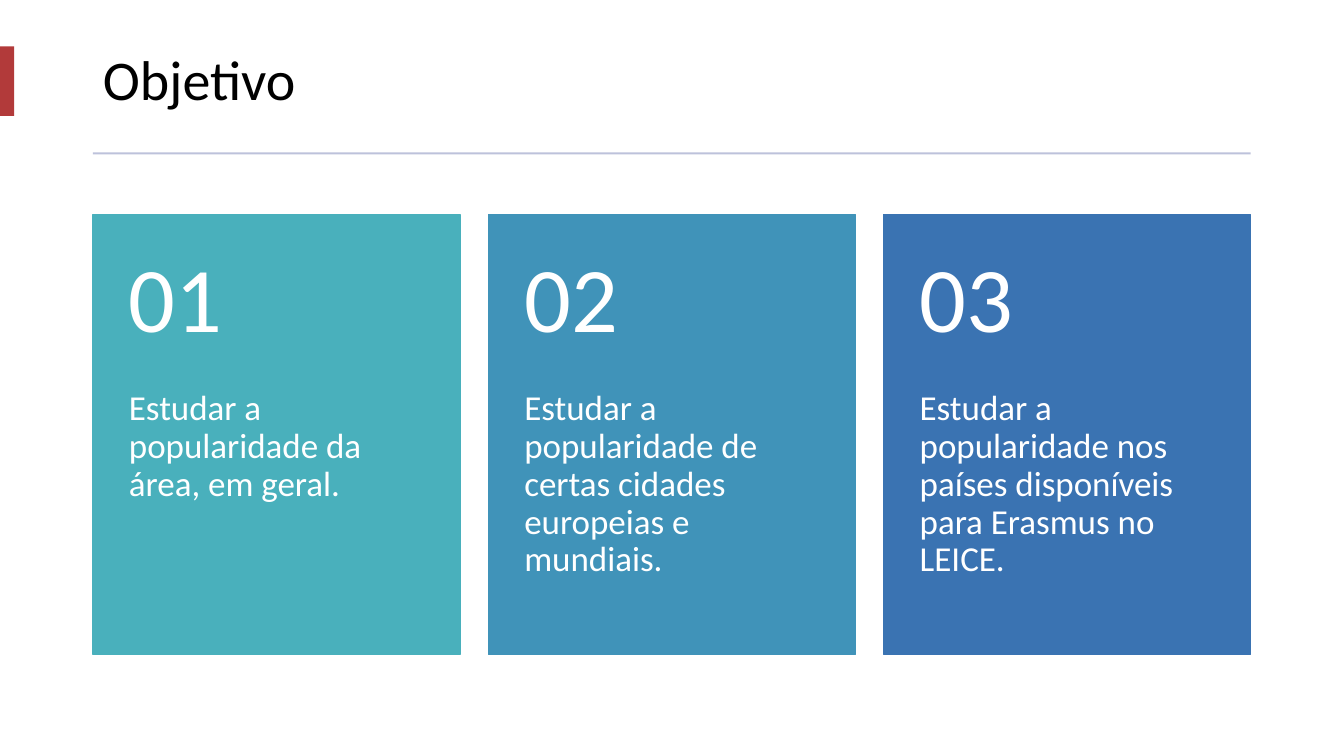
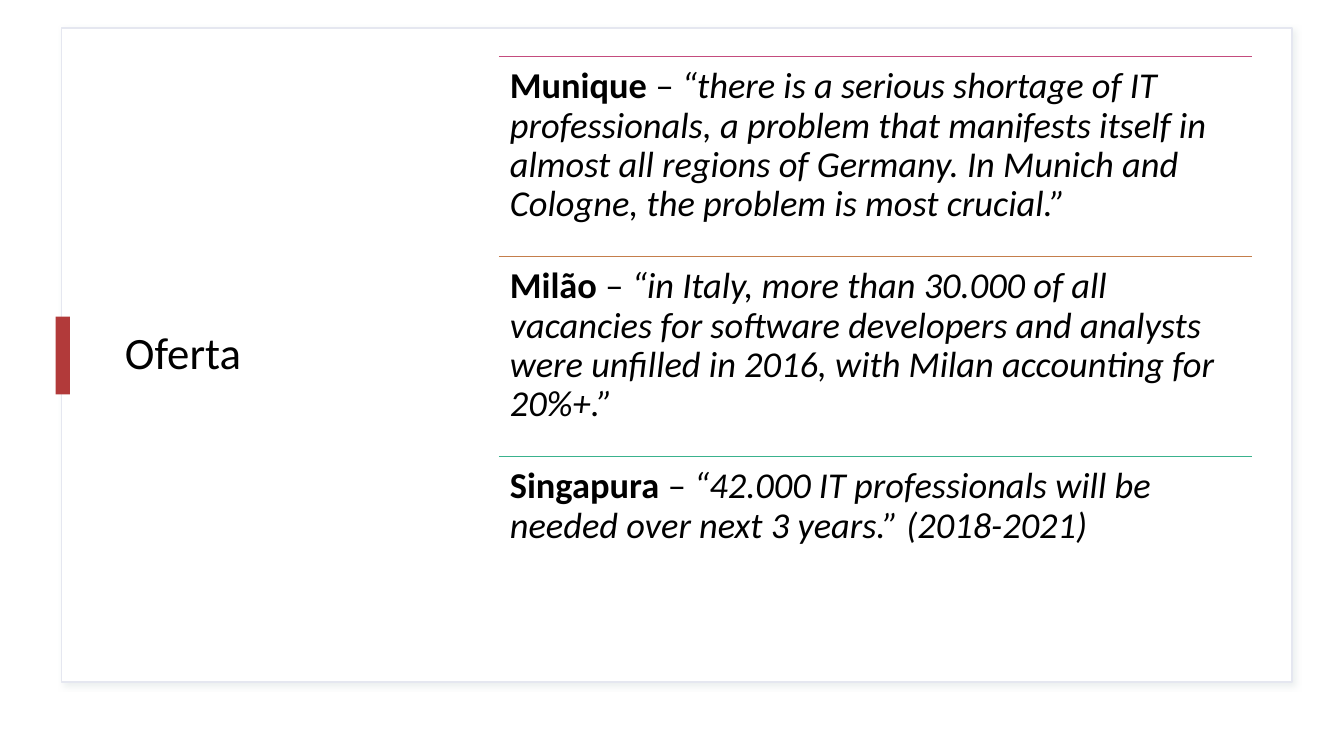
from lxml import etree
from pptx import Presentation
from pptx.dml.color import RGBColor
from pptx.enum.shapes import MSO_CONNECTOR as CONN, MSO_SHAPE as SHAPE
from pptx.enum.text import MSO_ANCHOR as ANCHOR, MSO_AUTO_SIZE as AUTO, PP_ALIGN as ALIGN
from pptx.oxml import parse_xml
from pptx.oxml.ns import nsdecls, qn
from pptx.util import Cm, Pt

FONT = "Calibri"
BLACK, WHITE = "000000", "FFFFFF"
ACCENT, RULE, FRAME, SHADOW = "B23A3A", "BDC2DB", "E5E7F0", "BCCACA"

CARDS = [
    ("01", "Estudar a popularidade da área, em geral.", "49B0BC"),
    ("02", "Estudar a popularidade de certas cidades europeias e mundiais.", "4093B9"),
    ("03", "Estudar a popularidade nos países disponíveis para Erasmus no LEICE.", "3A73B2"),
]
QUOTES = [
    ("Munique", "“there is a serious shortage of IT professionals, a problem that "
     "manifests itself in almost all regions of Germany. In Munich and Cologne, "
     "the problem is most crucial.”", "C44C7E"),
    ("Milão", "“in Italy, more than 30.000 of all vacancies for software developers "
     "and analysts were unfilled in 2016, with Milan accounting for 20%+.”", "C47E4C"),
    ("Singapura", "“42.000 IT professionals will be needed over next 3 years.” "
     "(2018-2021)", "3AB28D"),
]


def rgb(value):
    """Turn a hex string into a colour."""
    return RGBColor.from_string(value)


def box(*lengths):
    """Turn centimetres into lengths."""
    return [Cm(v) for v in lengths]


def write(tf, runs, size, color=BLACK, anchor=ANCHOR.TOP, insets=(0.25, 0.13, 0.25, 0.13)):
    """Fill a text frame with one paragraph of (text, bold, italic) runs."""
    tf.word_wrap = True
    tf.auto_size = AUTO.NONE
    tf.vertical_anchor = anchor
    tf.margin_left, tf.margin_top, tf.margin_right, tf.margin_bottom = box(*insets)
    p = tf.paragraphs[0]
    p.alignment = ALIGN.LEFT
    p.line_spacing = 0.9
    for text, bold, italic in runs:
        r = p.add_run()
        r.text = text
        r.font.name, r.font.size = FONT, Pt(size)
        r.font.bold, r.font.italic = bold, italic
        r.font.color.rgb = rgb(color)


class Deck:
    """Hold the presentation, its style and the current slide."""

    def __init__(self):
        """Start a widescreen presentation."""
        self.prs = Presentation()
        self.prs.slide_width, self.prs.slide_height = box(33.87, 19.05)
        self.s = None

    def slide(self):
        """Add a title-only slide."""
        self.s = self.prs.slides.add_slide(self.prs.slide_layouts[5])

    def title(self, text, x, y, w, h, size):
        """Place the title above what is already drawn."""
        sp = self.s.shapes.title
        sp.left, sp.top, sp.width, sp.height = box(x, y, w, h)
        write(sp.text_frame, [(text, False, False)], size, anchor=ANCHOR.MIDDLE)
        self.s.shapes._spTree.append(sp._element)

    def rect(self, x, y, w, h, fill, line=None):
        """Draw a flat rectangle."""
        sp = self.s.shapes.add_shape(SHAPE.RECTANGLE, *box(x, y, w, h))
        sp.shadow.inherit = False
        sp.fill.solid()
        sp.fill.fore_color.rgb = rgb(fill)
        if line:
            sp.line.color.rgb = rgb(line)
            sp.line.width = Pt(1)
        else:
            sp.line.fill.background()
        return sp

    def frame(self, x, y, w, h):
        """Draw a white panel with a soft shadow."""
        sp = self.rect(x, y, w, h, WHITE, FRAME)
        effects = sp._element.spPr.find(qn("a:effectLst"))
        effects.append(parse_xml(
            f'<a:outerShdw {nsdecls("a")} blurRad="{Pt(4)}" dist="{Pt(3)}" dir="2700000" '
            f'algn="tl" rotWithShape="0"><a:srgbClr val="{SHADOW}">'
            '<a:alpha val="30000"/></a:srgbClr></a:outerShdw>'))

    def line(self, x, y, w, color):
        """Draw a horizontal line."""
        c = self.s.shapes.add_connector(CONN.STRAIGHT, *box(x, y, x + w, y))
        c.line.color.rgb = rgb(color)
        c.line.width = Pt(1)
        etree.SubElement(c._element.spPr, qn("a:effectLst"))

    def text(self, x, y, w, h, runs, size, **style):
        """Add a text box."""
        sp = self.s.shapes.add_textbox(*box(x, y, w, h))
        write(sp.text_frame, runs, size, **style)

    def card(self, x, y, w, number, text, color):
        """Draw a coloured card with a number above its text."""
        head, body = 4.43, 6.65
        self.rect(x, y, w, head + body, color, color)
        self.text(x, y + head, w, body, [(text, False, False)], 25,
                  color=WHITE, insets=(0.91, 0, 0.91, 0.91))
        self.text(x, y, w, head, [(number, False, False)], 66, color=WHITE,
                  anchor=ANCHOR.MIDDLE, insets=(0.91, 0.46, 0.91, 0.46))

    def quote(self, x, y, w, h, city, text, color):
        """Draw a ruled row with a city and its quotation."""
        self.line(x, y, w, color)
        runs = [(city, True, False), (" – ", False, False), (text, False, True)]
        self.text(x, y, w, h, runs, 26, insets=(0.28,) * 4)


def main():
    """Build both slides and save them."""
    deck = Deck()

    deck.slide()
    left, width, gap = 2.34, 29.18, 0.71
    deck.title("Objetivo", left, 0.69, width, 2.79, 40)
    deck.rect(0, 1.17, 0.36, 1.75, ACCENT)
    deck.rect(left, 3.84, width, 0.05, RULE)
    card_w = (width - 2 * gap) / 3
    for i, card in enumerate(CARDS):
        deck.card(left + i * (card_w + gap), 5.41, card_w, *card)

    deck.slide()
    deck.frame(1.55, 0.71, 31.01, 16.48)
    deck.title("Oferta", 2.9, 1.4, 8.31, 15.11, 32)
    deck.rect(1.4, 7.98, 0.36, 1.96, ACCENT)
    row_h = 5.04
    for i, quote in enumerate(QUOTES):
        deck.quote(12.57, 1.42 + i * row_h, 18.97, row_h, *quote)

    deck.prs.save("out.pptx")


if __name__ == "__main__":
    main()
